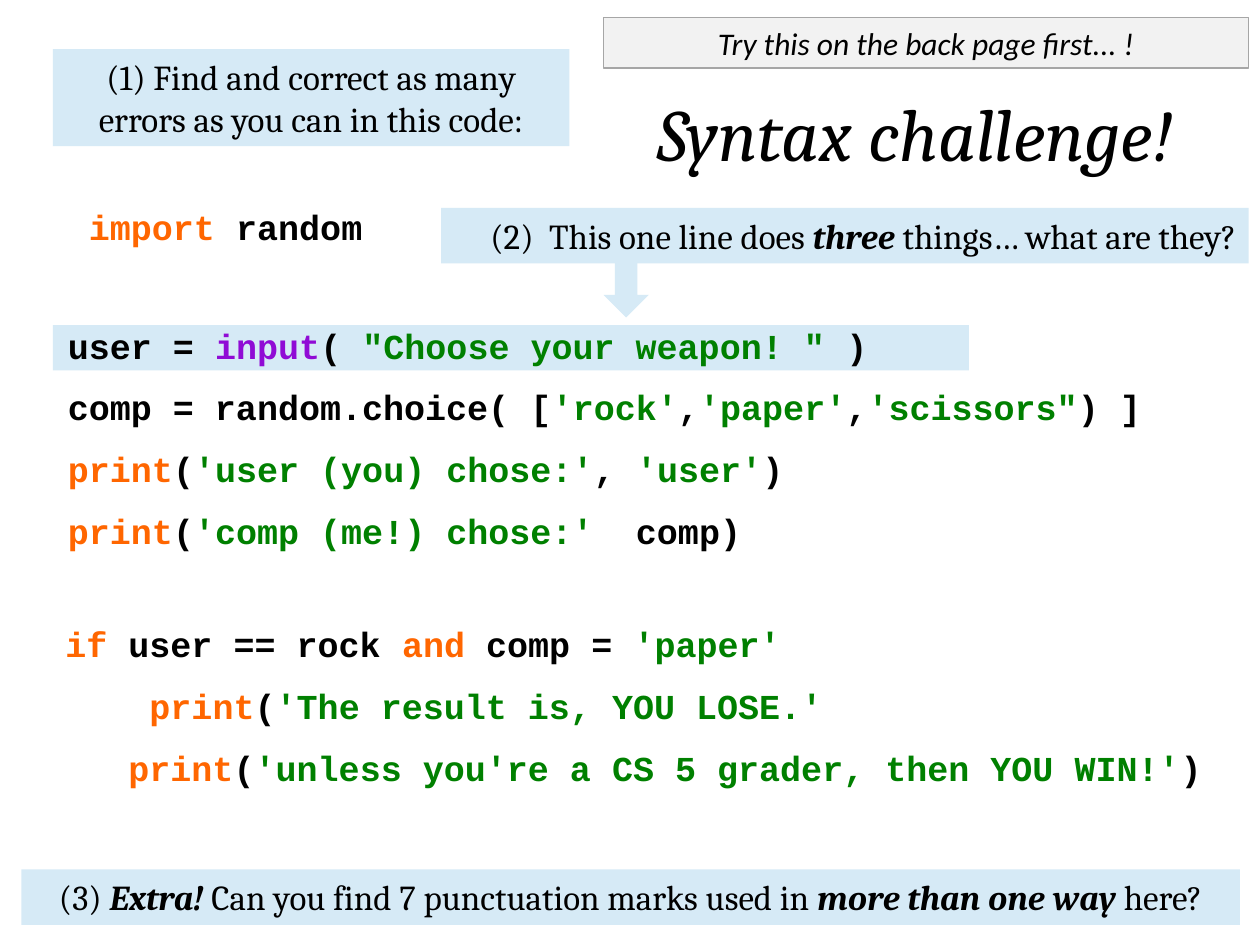
"""Build the syntax challenge slide."""
import pptx
import pptx.dml.color
import pptx.enum.shapes
import pptx.enum.text
import pptx.util

SHAPE = pptx.enum.shapes.MSO_SHAPE
ALIGN = pptx.enum.text.PP_ALIGN
THEME = {
    "panel": "D6EAF6", "banner": "F2F2F2", "banner_edge": "A6A6A6",
    "edge_width": 0.75, "code_gap": 11.3,
    "plain": "000000", "keyword": "FF6600", "builtin": "900BD5", "string": "008000",
    "code": {"name": "Courier New", "size": pptx.util.Pt(20), "bold": True},
    "task": {"name": "Cambria", "size": pptx.util.Pt(20)},
    "title": {"name": "Cambria", "size": pptx.util.Pt(42), "italic": True},
    "note": {"name": "Calibri", "size": pptx.util.Pt(18), "italic": True},
}
STRONG = {"bold": True, "italic": True}

deck = pptx.Presentation()
deck.slide_width, deck.slide_height = pptx.util.Inches(10), pptx.util.Inches(7.5)
page = deck.slides.add_slide(deck.slide_layouts[6])
column, row = deck.slide_width / 100, deck.slide_height / 75


def add_panel(kind, left, top, width, height, fill="panel"):
    frame = [round(n) for n in (left * column, top * row, width * column, height * row)]
    if kind is None:
        return page.shapes.add_textbox(*frame)
    box = page.shapes.add_shape(kind, *frame)
    box.shadow.inherit = False
    box.fill.solid()
    box.fill.fore_color.rgb = pptx.dml.color.RGBColor.from_string(THEME[fill])
    box.line.fill.background()
    return box


def write(box, style, lines, align=ALIGN.LEFT, wrap=True):
    frame = box.text_frame
    layout = {"word_wrap": wrap, "vertical_anchor": pptx.enum.text.MSO_ANCHOR.TOP,
              "auto_size": pptx.enum.text.MSO_AUTO_SIZE.SHAPE_TO_FIT_TEXT}
    for key, value in layout.items():
        setattr(frame, key, value)
    for index, line in enumerate(lines):
        para = frame.add_paragraph() if index else frame.paragraphs[0]
        para.alignment = align
        if index:
            para.space_before = pptx.util.Pt(THEME["code_gap"])
        for colour, text, *extra in line:
            span = para.add_run()
            span.text = text
            for key, value in {**THEME[style], **(extra[0] if extra else {})}.items():
                setattr(span.font, key, value)
            span.font.color.rgb = pptx.dml.color.RGBColor.from_string(THEME[colour])


highlight = add_panel(SHAPE.ROUNDED_RECTANGLE, 4.2, 25.8, 72.7, 3.6)
highlight.adjustments[0] = 0

code_blocks = [
    ((4.4, 25.3, 66.4, 4.4), [
        [("plain", "user = "), ("builtin", "input"), ("plain", "( "),
         ("string", '"Choose your weapon! " '), ("plain", ")")],
    ]),
    ((4.4, 30.1, 92.3, 14.5), [
        [("plain", "comp = random.choice( ["), ("string", "'rock'"), ("plain", ","),
         ("string", "'paper'"), ("plain", ","), ("string", "'scissors\""), ("plain", ") ]")],
        [("keyword", "print"), ("plain", "("), ("string", "'user (you) chose:'"),
         ("plain", ", "), ("string", "'user'"), ("plain", ")")],
        [("keyword", "print"), ("plain", "("), ("string", "'comp (me!) chose:'"),
         ("plain", "  comp)")],
    ]),
    ((4.2, 48.9, 92.4, 14.5), [
        [("keyword", "if "), ("plain", "user == rock "), ("keyword", "and "),
         ("plain", "comp = "), ("string", "'paper'")],
        [("builtin", "    "), ("keyword", "print"), ("plain", "("),
         ("string", "'The result is, YOU LOSE.'")],
        [("builtin", "   "), ("keyword", "print"), ("plain", "("),
         ("string", "'unless you're a CS 5 grader, then YOU WIN!'"), ("plain", ")")],
    ]),
    ((4.4, 15.8, 26.4, 4.4), [[("keyword", " import "), ("plain", "random")]]),
]
for place, lines in code_blocks:
    write(add_panel(None, *place), "code", lines)

tasks = [
    ((4.2, 3.9, 41, 7.7), ALIGN.CENTER, True, [
        ("plain", "(1) Find and correct as many errors as you can in this code:")]),
    ((35, 16.5, 64.1, 4.4), ALIGN.RIGHT, False, [
        ("plain", "(2)  This one line does "), ("plain", "three", STRONG),
        ("plain", " things… what are they?")]),
    ((1.7, 69, 96.7, 4.4), ALIGN.CENTER, True, [
        ("plain", "(3) "), ("plain", "Extra! ", STRONG),
        ("plain", "Can you find 7 punctuation marks used in "),
        ("plain", "more than one way ", STRONG), ("plain", "here?")]),
]
for place, align, wrap, line in tasks:
    write(add_panel(SHAPE.RECTANGLE, *place), "task", [line], align, wrap)

add_panel(SHAPE.DOWN_ARROW, 47.9, 20.1, 3.6, 5.1)

title = add_panel(None, 46.4, 6.5, 52.5, 8.1)
write(title, "title", [[("plain", "Syntax challenge!")]], ALIGN.CENTER)

banner = add_panel(SHAPE.RECTANGLE, 47.9, 1.4, 51.2, 4, "banner")
banner.line.color.rgb = pptx.dml.color.RGBColor.from_string(THEME["banner_edge"])
banner.line.width = pptx.util.Pt(THEME["edge_width"])
write(banner, "note", [[("plain", "Try this on the back page first... !")]], ALIGN.CENTER)

deck.save("out.pptx")
